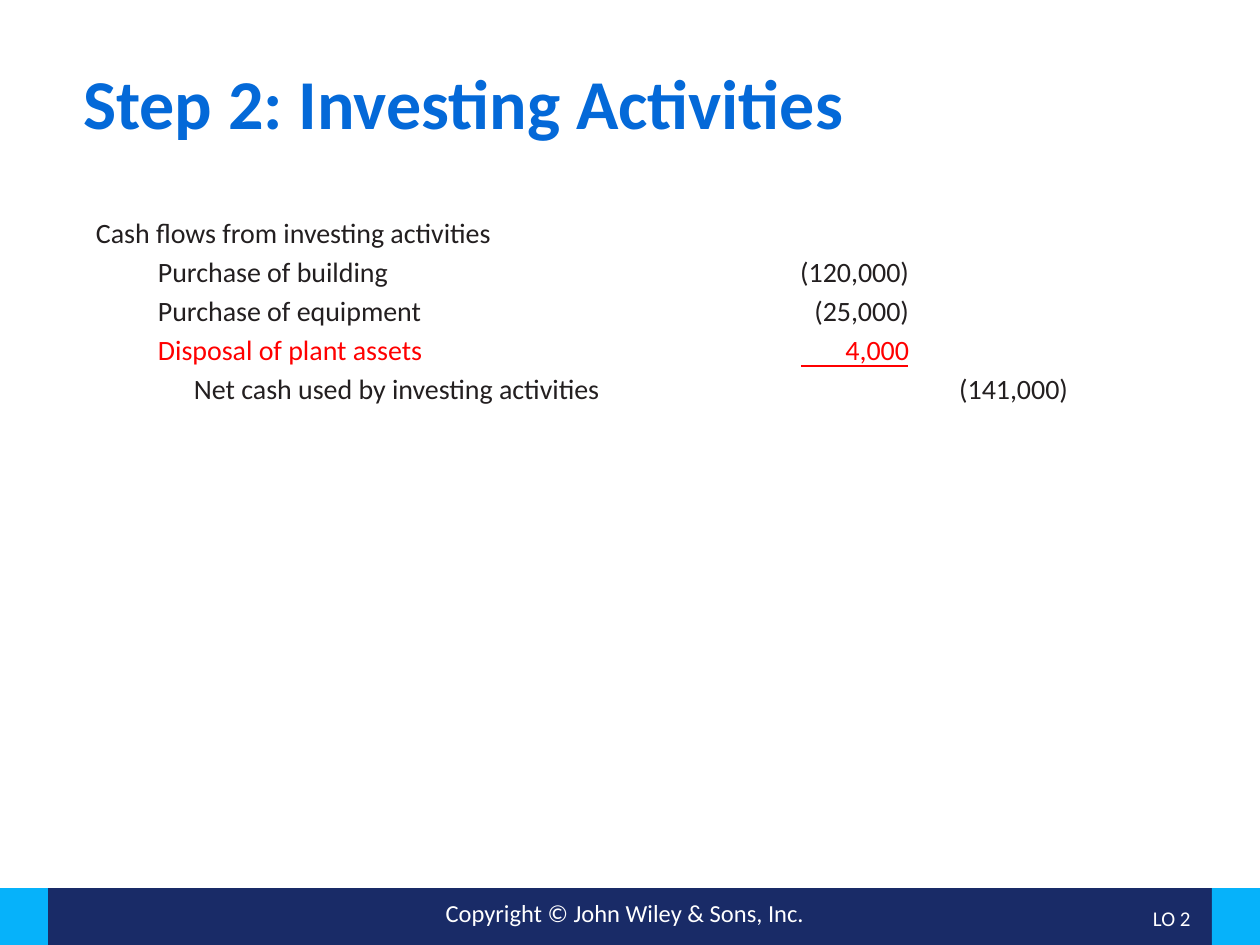
from dataclasses import dataclass

from lxml.etree import SubElement
from pptx import Presentation
from pptx.dml.color import RGBColor
from pptx.enum.shapes import MSO_CONNECTOR, MSO_SHAPE
from pptx.enum.text import MSO_ANCHOR, PP_ALIGN
from pptx.oxml.ns import qn
from pptx.util import Emu, Pt

NAVY = RGBColor(0x19, 0x2B, 0x67)
SKY = RGBColor(0x06, 0xB2, 0xFA)
BLUE = RGBColor(0x04, 0x69, 0xD8)
INK = RGBColor(0x23, 0x1F, 0x20)
RED = RGBColor(0xFF, 0x00, 0x00)
WHITE = RGBColor(0xFF, 0xFF, 0xFF)

FONT = "Calibri"
WIDTH, HEIGHT = 1260, 945
FOOTER_TOP, END_WIDTH = 888, 48
TABLE_LEFT, TABLE_TOP, ROW_HEIGHT = 91, 215, 39
COLUMNS = (645, 178, 159)
TABLE_SIZE = 16


@dataclass(frozen=True)
class Band:
    left: int
    width: int
    color: RGBColor


@dataclass(frozen=True)
class Entry:
    label: str
    amount: str = ""
    total: str = ""
    indent: int = 0
    color: RGBColor = INK


BANDS = (
    Band(END_WIDTH, WIDTH - 2 * END_WIDTH, NAVY),
    Band(0, END_WIDTH, SKY),
    Band(WIDTH - END_WIDTH, END_WIDTH, SKY),
)
ENTRIES = (
    Entry("Cash flows from investing activities"),
    Entry("Purchase of building", "(120,000)", indent=62),
    Entry("Purchase of equipment", "(25,000)", indent=62),
    Entry("Disposal of plant assets", "4,000", indent=62, color=RED),
    Entry("Net cash used by investing activities", total="(141,000)", indent=98),
)


def px(length: int) -> Emu:
    return Emu(round(length * 914400 / 126))


def write(frame, text: str, *, size: int, color: RGBColor, bold=False,
          align=PP_ALIGN.LEFT, anchor=MSO_ANCHOR.TOP, spacing=1.0, indent=0) -> None:
    frame.word_wrap = True
    frame.vertical_anchor = anchor
    para = frame.paragraphs[0]
    para.alignment = align
    para.line_spacing = spacing
    if indent:
        para._p.get_or_add_pPr().set("marL", str(px(indent)))
    span = para.add_run()
    span.text = text
    span.font.name = FONT
    span.font.size = Pt(size)
    span.font.bold = bold
    span.font.color.rgb = color


def add_text(page, left: int, top: int, width: int, height: int, text: str, **style) -> None:
    box = page.shapes.add_textbox(px(left), px(top), px(width), px(height))
    write(box.text_frame, text, **style)


def add_band(page, band: Band) -> None:
    shape = page.shapes.add_shape(MSO_SHAPE.RECTANGLE, px(band.left), px(FOOTER_TOP),
                                  px(band.width), px(HEIGHT - FOOTER_TOP))
    shape.shadow.inherit = False
    shape.fill.solid()
    shape.fill.fore_color.rgb = band.color
    shape.line.fill.background()


def fill_cell(cell, text: str, **style) -> None:
    cell.fill.background()
    cell.margin_left = cell.margin_right = px(5)
    cell.margin_top = cell.margin_bottom = px(2)
    if text:
        write(cell.text_frame, text, size=TABLE_SIZE, **style)
    else:
        # An empty cell keeps the row height only at the table's text size
        end = SubElement(cell.text_frame.paragraphs[0]._p, qn("a:endParaRPr"))
        end.set("sz", str(TABLE_SIZE * 100))


def add_cash_flows(page) -> None:
    frame = page.shapes.add_table(len(ENTRIES), len(COLUMNS), px(TABLE_LEFT), px(TABLE_TOP),
                                  px(sum(COLUMNS)), px(ROW_HEIGHT * len(ENTRIES)))
    table = frame.table
    table.first_row = table.horz_banding = False
    for column, width in zip(table.columns, COLUMNS):
        column.width = px(width)
    for row, entry in zip(table.rows, ENTRIES):
        row.height = px(ROW_HEIGHT)
        label, amount, total = row.cells
        fill_cell(label, entry.label, color=entry.color, indent=entry.indent)
        fill_cell(amount, entry.amount, color=entry.color, align=PP_ALIGN.RIGHT)
        fill_cell(total, entry.total, color=entry.color, align=PP_ALIGN.RIGHT)


def add_rule(page, left: int, right: int, y: int, color: RGBColor) -> None:
    rule = page.shapes.add_connector(MSO_CONNECTOR.STRAIGHT, px(left), px(y), px(right), px(y))
    rule.line.color.rgb = color
    rule.line.width = Pt(1.5)
    SubElement(rule._element.spPr, qn("a:effectLst"))


def main() -> None:
    deck = Presentation()
    deck.slide_width, deck.slide_height = px(WIDTH), px(HEIGHT)
    page = deck.slides.add_slide(deck.slide_layouts[6])

    # Footer
    for band in BANDS:
        add_band(page, band)
    add_text(page, 315, 892, 620, 43, "Copyright © John Wiley & Sons, Inc.",
             size=14, color=WHITE, align=PP_ALIGN.CENTER)
    add_text(page, 1100, 895, 103, 50, "LO 2", size=12, color=WHITE,
             align=PP_ALIGN.RIGHT, anchor=MSO_ANCHOR.MIDDLE, spacing=0.9)

    # Title
    add_text(page, 71, 63, 1119, 117, "Step 2: Investing Activities",
             size=40, color=BLUE, bold=True, spacing=0.9)

    # Cash flow table, with the sum line under the amounts
    add_cash_flows(page)
    add_rule(page, 801, 908, 366, RED)

    deck.save("out.pptx")


if __name__ == "__main__":
    main()
